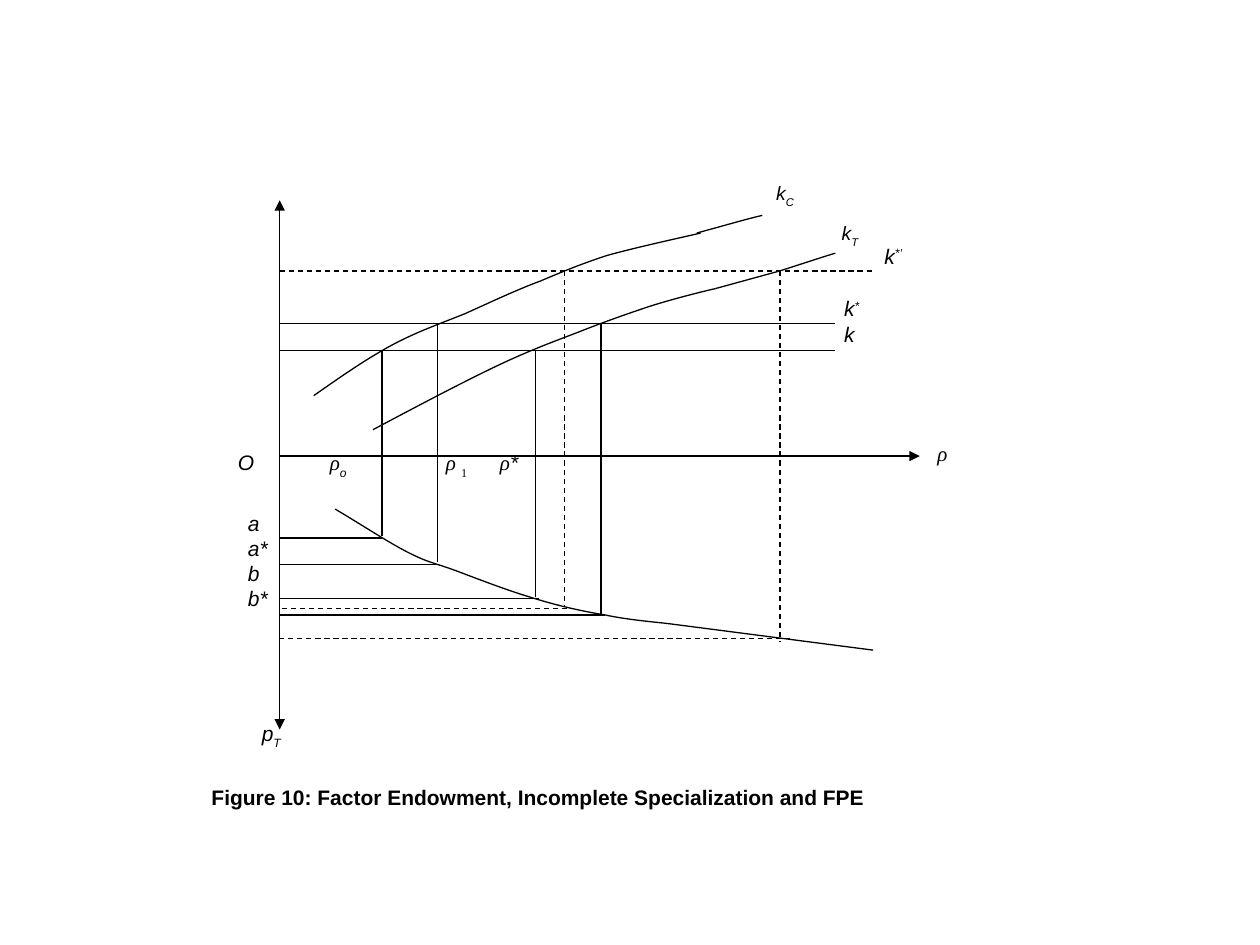
from lxml import etree
from pptx import Presentation
from pptx.dml.color import RGBColor
from pptx.enum.dml import MSO_LINE
from pptx.enum.shapes import MSO_CONNECTOR
from pptx.oxml.ns import qn
from pptx.util import Inches, Pt

INK = "000000"
SANS, SERIF = "Arial", "Times New Roman"
SUB, SUP = -30000, 30000

# Lengths in inches from the origin O, with y running down
K, K_STAR, K_PRIME = -0.84, -1.05, -1.47
# y, then the x where each piece of the level line stops, dashed
LEVELS = [(K, (0, 3.53, 4.41), False), (K_STAR, (0, 3.53, 4.41), False),
          (K_PRIME, (0, 4.71), True)]
# x, y where each piece of the drop stops, price level, its end, weight, dashed
DROPS = [
    (0.81, (K, 0, 0.63), 0.65, 0.81, 1, False),
    (2.03, (K, 0, 1.12), 1.13, 2.06, 1, False),
    (1.25, (K_STAR, 0, 0.84), 0.86, 1.25, 0.75, False),
    (2.55, (K_STAR, 0, 1.26), 1.26, 2.58, 0.75, False),
    (2.26, (K_PRIME, 1.19), 1.21, 2.28, 0.75, True),
    (3.97, (K_PRIME, 1.47), 1.45, 4.05, 0.75, True),
]
# Bezier points: a start, then three for each segment
KC = [(0.27, -0.48), (0.47, -0.62), (0.67, -0.76), (0.87, -0.87),
      (1.07, -0.98), (1.27, -1.05), (1.47, -1.13),
      (1.67, -1.22), (1.88, -1.32), (2.07, -1.39),
      (2.26, -1.47), (2.38, -1.52), (2.59, -1.59),
      (2.8, -1.65), (3.21, -1.74), (3.34, -1.77)]
KC_END = [(3.31, -1.77), (3.53, -1.83), (3.74, -1.89), (3.83, -1.91)]
KT = [(0.74, -0.21), (1.08, -0.39), (1.42, -0.57), (1.69, -0.7),
      (1.96, -0.83), (2.15, -0.9), (2.36, -0.98),
      (2.56, -1.06), (2.76, -1.13), (2.94, -1.19),
      (3.13, -1.25), (3.37, -1.31), (3.46, -1.33)]
KT_END = [(3.97, -1.47), (4.16, -1.53), (4.34, -1.59), (4.41, -1.61)]
PT = [(0.44, 0.42), (0.66, 0.55), (0.87, 0.69), (1.03, 0.77),
      (1.19, 0.85), (1.24, 0.85), (1.4, 0.91),
      (1.56, 0.97), (1.79, 1.06), (1.99, 1.12),
      (2.18, 1.18), (2.39, 1.23), (2.58, 1.26),
      (2.76, 1.3), (3.01, 1.32), (3.09, 1.33)]


def color(code):
    return RGBColor.from_string(code)


def stroke(line, weight):
    line.color.rgb = color(INK)
    line.width = Pt(weight)


def add_line(slide, origin, start, end, weight=0.75, dashed=False, arrow=False):
    left, top = origin
    link = slide.shapes.add_connector(
        MSO_CONNECTOR.STRAIGHT, Inches(left + start[0]), Inches(top + start[1]),
        Inches(left + end[0]), Inches(top + end[1]))
    stroke(link.line, weight)
    if dashed:
        link.line.dash_style = MSO_LINE.DASH
    if arrow:
        etree.SubElement(link.line._get_or_add_ln(), qn("a:tailEnd"), type="triangle")
    etree.SubElement(link._element.spPr, qn("a:effectLst"))


def add_chain(slide, origin, points, **style):
    for start, end in zip(points, points[1:]):
        add_line(slide, origin, start, end, **style)


def add_curve(slide, origin, points):
    """Draw Bezier segments: every three line points become one curve."""
    spots = [(Inches(origin[0] + x), Inches(origin[1] + y)) for x, y in points]
    builder = slide.shapes.build_freeform(*spots[0], scale=1.0)
    builder.add_line_segments(spots[1:], close=False)
    shape = builder.convert_to_shape()
    steps = list(shape._element.iter(qn("a:lnTo")))
    for i in range(0, len(steps), 3):
        bend = etree.SubElement(steps[i].getparent(), qn("a:cubicBezTo"))
        for step in steps[i:i + 3]:
            bend.append(step[0])
            step.getparent().remove(step)
    shape.shadow.inherit = False
    shape.fill.background()
    stroke(shape.line, 0.75)


def add_label(slide, box, lines, size=12, inset=(0.1, 0.05), tabs=(), bold=False):
    """Each line is a list of runs: text, then optional font, baseline, italic."""
    frame = slide.shapes.add_textbox(*map(Inches, box)).text_frame
    frame.word_wrap = True
    frame.margin_left = frame.margin_right = Inches(inset[0])
    frame.margin_top = frame.margin_bottom = Inches(inset[1])
    for i, line in enumerate(lines):
        para = frame.add_paragraph() if i else frame.paragraphs[0]
        if tabs:
            stops = etree.SubElement(para._p.get_or_add_pPr(), qn("a:tabLst"))
            for stop in tabs:
                etree.SubElement(stops, qn("a:tab"), pos=str(Inches(stop)), algn="l")
        for text, *style in line:
            font, base, italic = style + [SANS, 0, not bold][len(style):]
            run = para.add_run()
            run.text = text
            run.font.name = font
            run.font.size = Pt(size)
            run.font.bold = bold
            run.font.italic = italic
            run.font.color.rgb = color(INK)
            if base:
                run._r.get_or_add_rPr().set("baseline", str(base))


def add_graph(slide, origin):
    for start, end in (((0, 0.91), (0, -2.03)), ((0, 0.77), (0, 2.17)),
                       ((0, 0), (5.08, 0))):
        add_line(slide, origin, start, end, arrow=True)
    for y, stops, dashed in LEVELS:
        add_chain(slide, origin, [(x, y) for x in stops], dashed=dashed)
    for x, stops, price, end, weight, dashed in DROPS:
        add_chain(slide, origin, [(x, y) for y in stops],
                  weight=weight, dashed=dashed)
        add_line(slide, origin, (end, price), (0, price), dashed=dashed)
    for points in (KC, KC_END, KT, KT_END, PT):
        add_curve(slide, origin, points)
    add_line(slide, origin, KT[-1], KT_END[0])
    add_line(slide, origin, PT[-1], (4.71, 1.54))


def add_names(slide, origin):
    left, top = origin

    def put(x, y, width, height, lines, **style):
        add_label(slide, (left + x, top + y, width, height), lines, **style)

    small = {"size": 11, "inset": (0.06, 0.03)}
    put(3.88, -2.21, 0.52, 0.3, [[("k",), ("C", SANS, SUB)]], **small)
    put(4.4, -1.89, 0.39, 0.3, [[("k",), ("T", SANS, SUB)]], **small)
    put(4.38, -1.32, 0.42, 0.85, [[("k",), ("*", SANS, SUP)], [("k",)]])
    put(4.7, -1.74, 0.48, 0.38,
        [[("k",), ("*", SANS, SUP), ("′", SERIF, SUP)]])
    put(-0.43, -0.1, 3.47, 0.38,
        [[("O\t",), ("ρ", SERIF), ("o", SANS, SUB), ("\tρ ", SERIF),
          ("1", SERIF, SUB, False), ("\tρ", SERIF), ("*",)]],
        tabs=(0.73, 1.65, 2.08))
    put(-0.35, 0.38, 0.46, 1.09, [[(name,)] for name in ("a", "a*", "b", "b*")])
    put(5.12, -0.17, 0.42, 0.38, [[("ρ", SERIF)]])
    put(-0.24, 2.05, 0.44, 0.61, [[("p",), ("T", SANS, SUB)]])


def main():
    deck = Presentation()
    deck.slide_width, deck.slide_height = Inches(10), Inches(7.5)
    slide = deck.slides.add_slide(deck.slide_layouts[6])
    origin = (2.22, 3.62)
    add_graph(slide, origin)
    add_names(slide, origin)
    add_label(slide, (1.58, 6.18, 6.38, 0.61),
              [[("Figure 10: Factor Endowment, Incomplete Specialization and FPE",)]],
              bold=True)
    deck.save("out.pptx")


if __name__ == "__main__":
    main()
